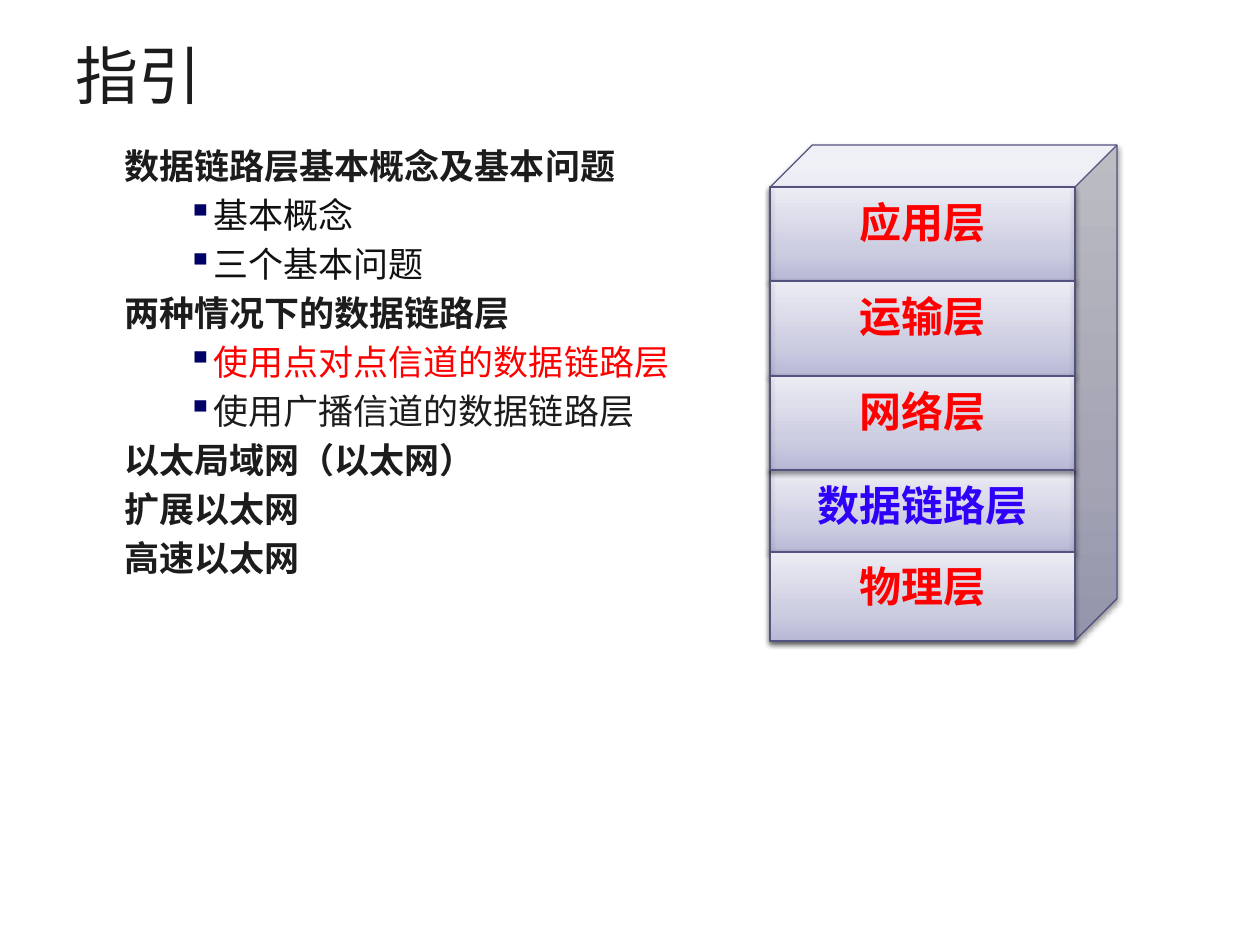
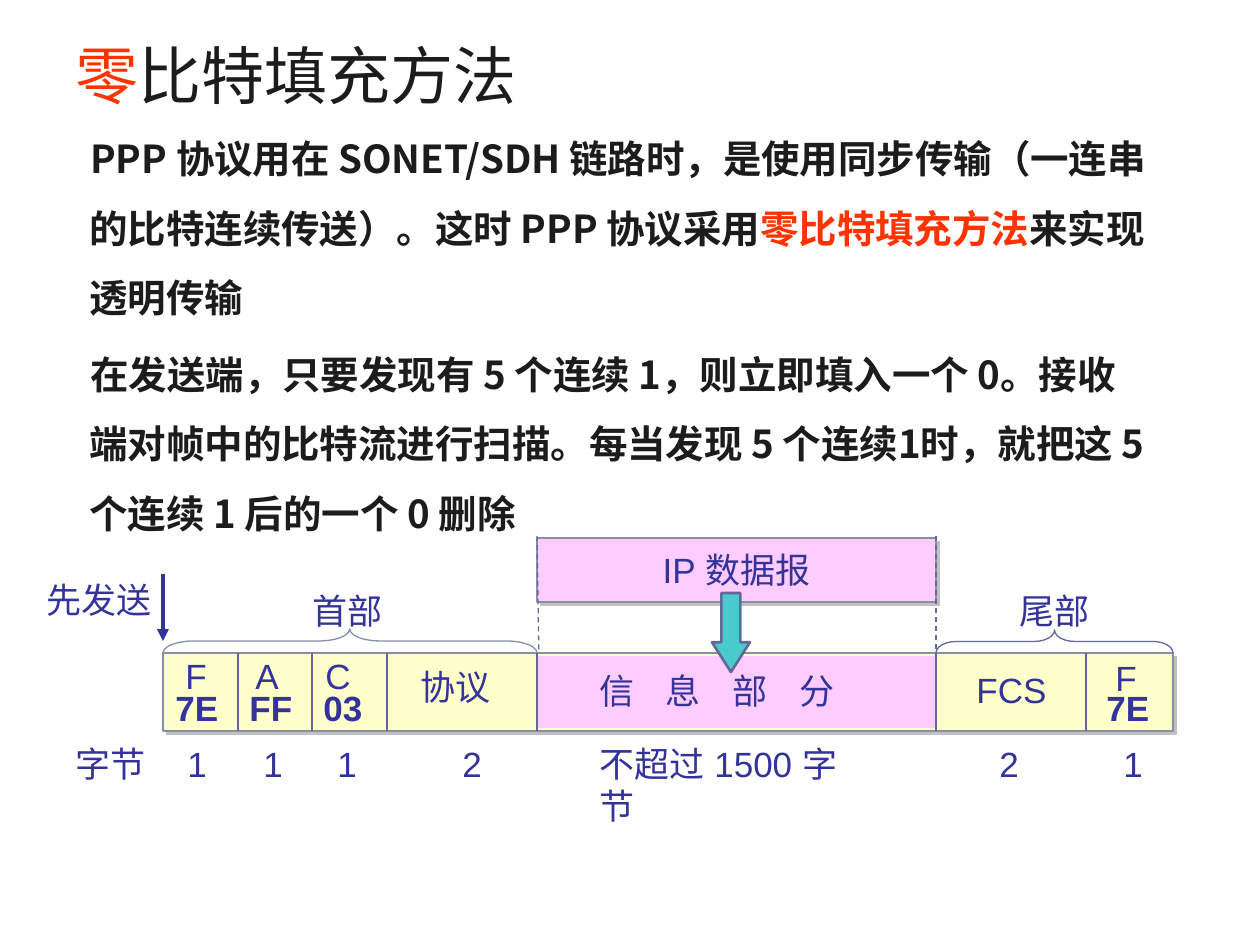
from lxml import etree
from pptx import Presentation
from pptx.dml.color import RGBColor
from pptx.enum.dml import MSO_LINE
from pptx.enum.shapes import MSO_CONNECTOR, MSO_SHAPE
from pptx.enum.text import MSO_ANCHOR, PP_ALIGN
from pptx.oxml.ns import qn
from pptx.util import Emu, Pt

RECT, CUBE = MSO_SHAPE.RECTANGLE, MSO_SHAPE.CUBE
BRACE, DOWN_ARROW = MSO_SHAPE.LEFT_BRACE, MSO_SHAPE.DOWN_ARROW
STRAIGHT, DASH = MSO_CONNECTOR.STRAIGHT, MSO_LINE.DASH
CENTER, MIDDLE = PP_ALIGN.CENTER, MSO_ANCHOR.MIDDLE

WHITE = RGBColor(0xFF, 0xFF, 0xFF)
INK = RGBColor(0x1C, 0x1C, 0x1C)
SOFT_INK = RGBColor(0x11, 0x11, 0x11)
RED = RGBColor(0xFF, 0x00, 0x00)
ORANGE = RGBColor(0xFF, 0x33, 0x00)
BLUE = RGBColor(0x30, 0x01, 0xF9)
BULLET = RGBColor(0x00, 0x00, 0x66)
INDIGO = RGBColor(0x33, 0x33, 0x99)
LAYER_EDGE = RGBColor(0x53, 0x53, 0x80)
GREY_EDGE = RGBColor(0x87, 0x8F, 0xA5)
DIVIDER = RGBColor(0x66, 0x66, 0x99)
PINK = RGBColor(0xFF, 0xCC, 0xFF)
CREAM = RGBColor(0xFF, 0xFF, 0xCC)
TEAL = RGBColor(0x49, 0xCA, 0xCD)
BLACK = RGBColor(0x00, 0x00, 0x00)
SILVER = RGBColor(0xC0, 0xC0, 0xC0)
LAYER_STOPS = [(0, RGBColor(0xB9, 0xB9, 0xD7)), (35, RGBColor(0xCE, 0xCE, 0xE2)),
               (100, RGBColor(0xEC, 0xEC, 0xF4))]

# Shadows: colour, opacity %, blur pt, distance pt, direction degrees
SOFT_SHADOW = (BLACK, 38, 3.1, 1.6, 90)
HARD_SHADOW = (SILVER, 100, 0, 2.8, 45)

TEXT_FONT, LABEL_FONT = "Noto Sans CJK SC", "Arial"
LINE_HEIGHT = 1.2
PX_PER_INCH = 126


def px(length):
    return Emu(round(length * 914400 / PX_PER_INCH))


def add_xml(parent, tag, **attributes):
    node = etree.SubElement(parent, qn(tag))
    for name, value in attributes.items():
        node.set(name, str(value))
    return node


def set_effect(item, shadow=None):
    effects = add_xml(item._element.spPr, "a:effectLst")
    if shadow:
        color, opacity, blur, distance, angle = shadow
        outer = add_xml(effects, "a:outerShdw", blurRad=Pt(blur), dist=Pt(distance),
                        dir=angle * 60000, algn="ctr", rotWithShape=0)
        tint = add_xml(outer, "a:srgbClr", val=color)
        add_xml(tint, "a:alpha", val=opacity * 1000)


def set_gradient(shape, stops, angle):
    shape.fill.gradient()
    gradient = shape._element.spPr.find(qn("a:gradFill"))
    for child in list(gradient):
        gradient.remove(child)
    stop_list = add_xml(gradient, "a:gsLst")
    for position, color in stops:
        stop = add_xml(stop_list, "a:gs", pos=position * 1000)
        add_xml(stop, "a:srgbClr", val=color)
    add_xml(gradient, "a:lin", ang=angle * 60000, scaled=0)


def draw_shape(page, kind, box, fill=None, edge=None, weight=0.75, shadow=None,
               adjust=()):
    """Fill is a colour, a list of gradient stops or None."""
    shape = page.shapes.add_shape(kind, *map(px, box))
    for index, value in enumerate(adjust):
        shape.adjustments[index] = value
    if fill is None:
        shape.fill.background()
    elif isinstance(fill, list):
        set_gradient(shape, fill, 270)
    else:
        shape.fill.solid()
        shape.fill.fore_color.rgb = fill
    if edge is None:
        shape.line.fill.background()
    else:
        shape.line.color.rgb = edge
        shape.line.width = Pt(weight)
    set_effect(shape, shadow)
    return shape


def draw_line(page, start, end, color, weight=0.75, dash=None, shadow=None, arrow=False):
    line = page.shapes.add_connector(STRAIGHT, *map(px, (*start, *end)))
    line.line.color.rgb = color
    line.line.width = Pt(weight)
    if dash:
        line.line.dash_style = dash
    if arrow:
        add_xml(line.line._get_or_add_ln(), "a:tailEnd", type="triangle")
    set_effect(line, shadow)


def write(para, spans, size, font=TEXT_FONT, bold=False):
    """Fill a paragraph with (text, colour) spans."""
    for text, color in spans:
        span = para.add_run()
        span.text = text
        span.font.size = Pt(size)
        span.font.bold = bold
        span.font.name = font
        span.font.color.rgb = color
        add_xml(span._r.get_or_add_rPr(), "a:ea", typeface=font)


def text_box(page, box, wrap=True):
    frame = page.shapes.add_textbox(*map(px, box)).text_frame
    frame.word_wrap = wrap
    return frame


def draw_title(page, spans):
    frame = text_box(page, (63, 36, 1134, 77))
    frame.vertical_anchor = MIDDLE
    write(frame.paragraphs[0], spans, 36)


def draw_body(page, box, items, size, spacing=1):
    """Items are (level, spans): level 0 is bold, level 1 has a bullet."""
    frame = text_box(page, box)
    for index, (level, spans) in enumerate(items):
        para = frame.add_paragraph() if index else frame.paragraphs[0]
        para.line_spacing = Pt(size * LINE_HEIGHT * spacing)
        para.space_before = Pt(size * 0.2)
        margins = para._p.get_or_add_pPr()
        margins.set("marL", str(px(113 if level else 48)))
        margins.set("indent", str(px(-1 if level else 1)))
        if level:
            add_xml(add_xml(margins, "a:buClr"), "a:srgbClr", val=BULLET)
            add_xml(margins, "a:buChar", char="▪")
        write(para, spans, size, bold=level == 0)


def draw_layer_stack(page, left, top):
    depth, width = 42, 305
    draw_shape(page, CUBE, (left, top, width + depth, 496), LAYER_STOPS, LAYER_EDGE,
               shadow=SOFT_SHADOW, adjust=[0.122])
    # Name, offset, height, colour, from back to front
    layers = [("应用层", 42, 94, RED), ("运输层", 136, 95, RED),
              ("数据链路层", 325, 82, BLUE), ("网络层", 231, 94, RED),
              ("物理层", 407, 89, RED)]
    right = left + width
    for name, offset, height, color in layers:
        upper = top + offset
        lower = upper + height
        layer = draw_shape(page, RECT, (left, upper, width, height), LAYER_STOPS,
                           LAYER_EDGE, shadow=SOFT_SHADOW)
        frame = layer.text_frame
        frame.margin_top = px(9)
        frame.vertical_anchor = MSO_ANCHOR.TOP
        para = frame.paragraphs[0]
        para.alignment = CENTER
        para.line_spacing = Pt(24 * LINE_HEIGHT)
        write(para, [(name, color)], 24, bold=True)
        if name != "物理层":
            for start, end in [((left, lower), (right, lower)),
                               ((left, upper), (left, lower)),
                               ((right, upper), (right, lower))]:
                draw_line(page, start, end, LAYER_EDGE, shadow=SOFT_SHADOW)


def draw_brace(page, left, bottom, width, height, color, adjust):
    """A left brace turned to open downwards over the given span."""
    box = (left + (width - height) / 2, bottom - (height + width) / 2, height, width)
    draw_shape(page, BRACE, box, edge=color, adjust=adjust).rotation = 90


def draw_label(page, text, left, top, width, bold=False, wrap=False):
    frame = text_box(page, (left, top, width, 54), wrap)
    write(frame.paragraphs[0], [(text, INDIGO)], 20, LABEL_FONT, bold)
    return frame


def draw_ppp_frame(page, left, top):
    width, height = 1010, 78
    info_left, info_right = left + 374, left + 773
    info_width = info_right - info_left

    # IP datagram above the information field
    datagram = draw_shape(page, RECT, (info_left, top - 115, info_width, 64), PINK,
                          GREY_EDGE, shadow=HARD_SHADOW)
    frame = datagram.text_frame
    frame.word_wrap = False
    frame.vertical_anchor = MIDDLE
    frame.paragraphs[0].alignment = CENTER
    write(frame.paragraphs[0], [("IP 数据报", INDIGO)], 20, LABEL_FONT)
    for start, end in [(info_left, info_left + 2), (info_right, info_right)]:
        draw_line(page, (start, top - 117), (end, top + 7), DIVIDER, dash=DASH)

    # Frame bar, information field and dividers
    draw_shape(page, RECT, (left, top, width, height), CREAM, GREY_EDGE,
               shadow=HARD_SHADOW)
    draw_shape(page, RECT, (info_left, top + 3, info_width, 72), PINK)
    for offset in (75, 149, 224, 374, 773, 923):
        draw_line(page, (left + offset, top), (left + offset, top + height), DIVIDER)

    # Braces and arrows
    draw_brace(page, left, top, 374, 24, GREY_EDGE, [1.285, 0.501])
    draw_brace(page, info_right, top, 237, 23, DIVIDER, [0.885, 0.5])
    draw_line(page, (left, top - 79), (left, top - 12), INDIGO, 2.25, arrow=True)
    draw_shape(page, DOWN_ARROW, (left + 549, top - 60, 38, 79), TEAL, DIVIDER, 1.5,
               adjust=[0.5, 0.783])

    # Field names: text, offsets, width
    for text, x, y, box_width in [
            ("先发送", -129, -81, 130), ("首部", 137, -70, 96), ("尾部", 844, -70, 96),
            ("F", 10, -5, 47), ("A", 80, -5, 49), ("C", 150, -5, 50),
            ("协议", 245, 6, 96), ("FCS", 801, 9, 96), ("F", 940, -3, 47)]:
        draw_label(page, text, left + x, top + y, box_width)
    info = draw_label(page, "信 息 部 分", left + 424, top + 10, 281)
    info.paragraphs[0].runs[0]._r.get_or_add_rPr().set("spc", "620")

    # Fixed values
    for text, x in [("7E", 0), ("FF", 74), ("03", 148), ("7E", 931)]:
        draw_label(page, text, left + x, top + 27, 68, bold=True)

    # Byte counts under the bar
    for text, x, box_width in [("字节", -100, 96), ("1", 12, 45), ("1", 88, 45),
                               ("1", 162, 45), ("2", 287, 45), ("2", 824, 45),
                               ("1", 948, 45)]:
        draw_label(page, text, left + x, top + 83, box_width)
    draw_label(page, "不超过 1500 字节", left + 424, top + 83, 297, wrap=True)


def new_page(deck):
    page = deck.slides.add_slide(deck.slide_layouts[6])
    page.background.fill.solid()
    page.background.fill.fore_color.rgb = WHITE
    return page


def build_guide(page):
    draw_title(page, [("指引", INK)])
    draw_body(page, (63, 138, 1134, 659), [
        (0, [("数据链路层基本概念及基本问题", INK)]),
        (1, [("基本概念", SOFT_INK)]),
        (1, [("三个基本问题", SOFT_INK)]),
        (0, [("两种情况下的数据链路层", INK)]),
        (1, [("使用点对点信道的数据链路层", RED)]),
        (1, [("使用广播信道的数据链路层", INK)]),
        (0, [("以太局域网（以太网）", INK)]),
        (0, [("扩展以太网", INK)]),
        (0, [("高速以太网", INK)]),
    ], 20)
    draw_layer_stack(page, 770, 145)


def build_zero_bit_stuffing(page):
    draw_title(page, [("零", ORANGE), ("比特填充方法", INK)])
    draw_body(page, (29, 106, 1134, 659), [
        (0, [("PPP 协议用在 SONET/SDH 链路时，是使用同步传输（一连串的比特连续传送）。"
              "这时 PPP 协议采用", INK),
             ("零比特填充方法", ORANGE), ("来实现透明传输", INK)]),
        (0, [("在发送端，只要发现有 5 个连续 1，则立即填入一个 0。接收端对帧中的比特流"
              "进行扫描。每当发现 5 个连续1时，就把这 5 个连续 1 后的一个 0 删除", INK)]),
    ], 22, spacing=1.5)
    draw_ppp_frame(page, 163, 653)


def main():
    deck = Presentation()
    deck.slide_width, deck.slide_height = px(1260), px(945)
    build_guide(new_page(deck))
    build_zero_bit_stuffing(new_page(deck))
    deck.save("out.pptx")


if __name__ == "__main__":
    main()
